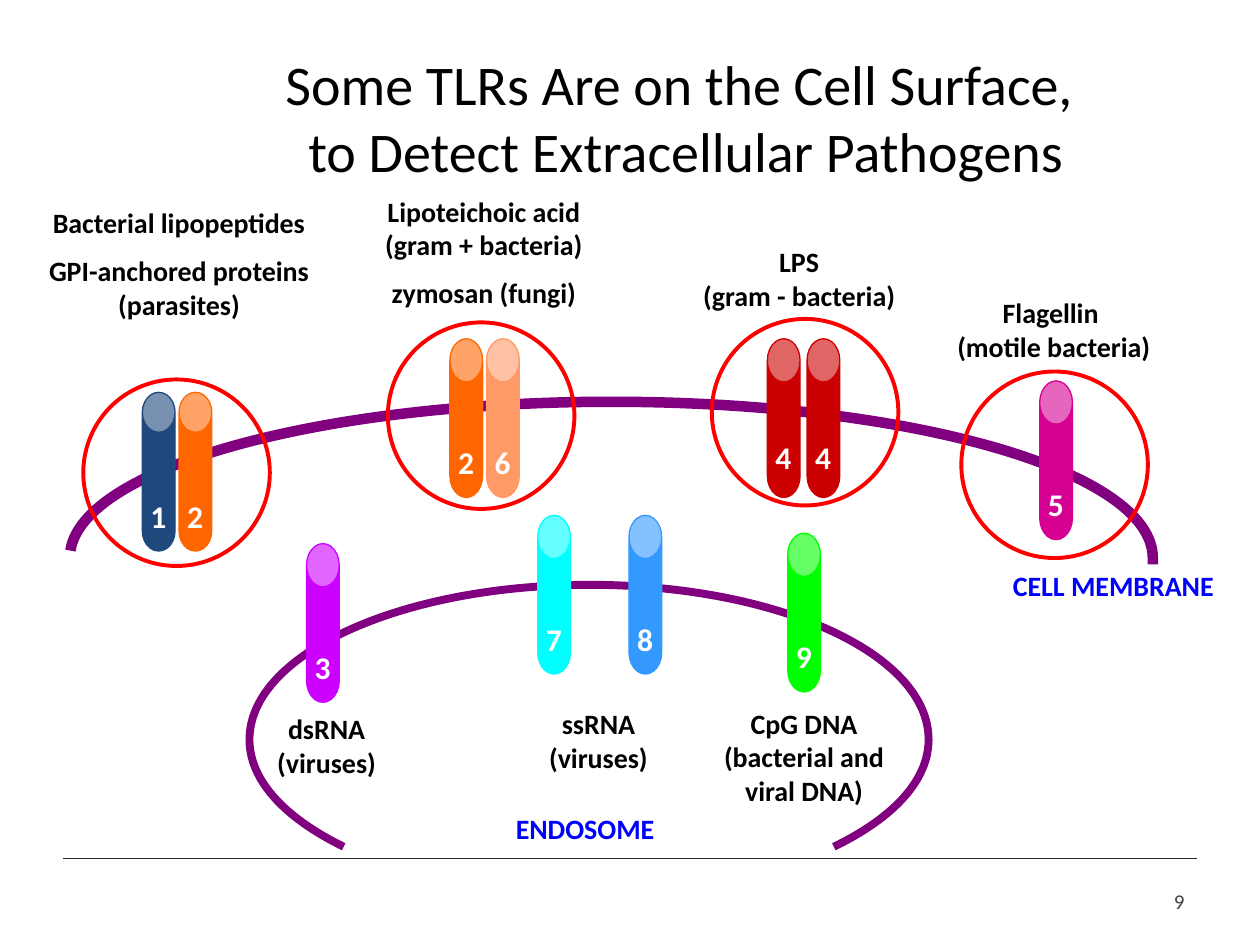
from lxml.etree import SubElement
from pptx import Presentation
from pptx.dml.color import RGBColor
from pptx.enum.shapes import MSO_CONNECTOR as Connector, MSO_SHAPE as Shape
from pptx.enum.text import MSO_ANCHOR as Anchor, PP_ALIGN as Align
from pptx.oxml.ns import qn
from pptx.util import Cm, Pt


def color(hex_text):
    return RGBColor.from_string(hex_text)


def write(left, top, width, height, lines, size=16, ink="000000", bold=True, wrap=True,
          padded=False, align=Align.CENTER, anchor=Anchor.TOP, gap=0, first_spacing=1.0):
    box = page.shapes.add_textbox(Cm(left), Cm(top), Cm(width), Cm(height))
    frame = box.text_frame
    frame.word_wrap = wrap
    frame.vertical_anchor = anchor
    if not padded:
        frame.margin_left = frame.margin_right = frame.margin_top = frame.margin_bottom = 0
    for index, line in enumerate(lines):
        para = frame.add_paragraph() if index else frame.paragraphs[0]
        para.text = line
        para.alignment = align
        if index and gap:
            para.space_before = Pt(gap)
        if not index:
            para.line_spacing = first_spacing
        para.font.name = "Calibri"
        para.font.size = Pt(size)
        para.font.bold = bold
        para.font.color.rgb = color(ink)


deck = Presentation()
deck.slide_width, deck.slide_height = Cm(25.4), Cm(19.05)
page = deck.slides.add_slide(deck.slide_layouts[5])

title = page.shapes.title
title.left, title.top, title.width, title.height = Cm(3.53), Cm(0.77), Cm(20.6), Cm(3.15)
title.text_frame.text = "Some TLRs Are on the Cell Surface, \vto Detect Extracellular Pathogens"
title.text_frame.vertical_anchor = Anchor.MIDDLE
heading = title.text_frame.paragraphs[0]
heading.alignment = Align.CENTER
heading.font.name = "Calibri"
heading.font.size = Pt(32)
heading.font.color.rgb = color("000000")

rule = page.shapes.add_connector(Connector.STRAIGHT, Cm(1.27), Cm(17.3), Cm(24.13), Cm(17.3))
rule.line.color.rgb = color("262626")
rule.line.width = Pt(0.75)
SubElement(rule._element.spPr, qn("a:effectLst"))
write(18.21, 17.65, 5.92, 1.02, ["9"], size=12, ink="404040", bold=False,
      padded=True, align=Align.RIGHT, anchor=Anchor.MIDDLE)

endosome = [
    (16.81, 17.07),
    (18.03, 16.48), (18.72, 15.72), (18.72, 14.91),
    (18.72, 13.18), (15.67, 11.79), (11.88, 11.79),
    (8.1, 11.79), (5.03, 13.18), (5.03, 14.91),
    (5.03, 15.72), (5.72, 16.48), (6.93, 17.07),
]
cell_membrane = [
    (23.24, 11.38),
    (23.24, 11.33), (23.24, 11.28), (23.24, 11.25),
    (23.24, 9.5), (18.36, 8.1), (12.32, 8.1),
    (6.48, 8.1), (1.68, 9.42), (1.42, 11.1),
]
for points, weight in [(endosome, 4.5), (cell_membrane, 6)]:
    corners = [(Cm(x), Cm(y)) for x, y in points]
    builder = page.shapes.build_freeform(*corners[0])
    builder.add_line_segments(corners[1:], close=False)
    curve = builder.convert_to_shape()
    outline = next(curve._element.iter(qn("a:path")))
    segments = outline.findall(qn("a:lnTo"))
    for start in range(0, len(segments), 3):
        bezier = SubElement(outline, qn("a:cubicBezTo"))
        for segment in segments[start:start + 3]:
            bezier.append(segment[0])
            outline.remove(segment)
    curve.shadow.inherit = False
    curve.fill.background()
    curve.line.color.rgb = color("800080")
    curve.line.width = Pt(weight)

for left, top in [(1.68, 7.65), (7.82, 6.5), (14.35, 6.43), (19.38, 7.49)]:
    circle = page.shapes.add_shape(Shape.OVAL, Cm(left), Cm(top), Cm(3.76), Cm(3.76))
    circle.shadow.inherit = False
    circle.fill.background()
    circle.line.color.rgb = color("FF0000")
    circle.line.width = Pt(2.25)

receptors = [
    ("1", 2.87, 7.91, "1F497D", 1.22),
    ("2", 3.61, 7.91, "FF6600", 1.22),
    ("2", 9.07, 6.83, "FF6600", 1.32),
    ("6", 9.81, 6.83, "FF9966", 1.32),
    ("4", 15.47, 6.83, "CC0000", 1.32),
    ("4", 16.27, 6.83, "CC0000", 1.32),
    ("5", 20.96, 7.68, "D60093", 1.32),
    ("3", 6.18, 10.96, "CC00FF", 1.32),
    ("7", 10.84, 10.39, "00FFFF", 1.32),
    ("8", 12.68, 10.39, "3399FF", 1.32),
    ("9", 15.88, 10.75, "00FF00", 1.32),
]
for number, left, top, paint, lid in receptors:
    can = page.shapes.add_shape(Shape.CAN, Cm(left), Cm(top), Cm(0.66), Cm(3.2))
    can.adjustments[0] = lid
    can.shadow.inherit = False
    can.fill.solid()
    can.fill.fore_color.rgb = color(paint)
    can.line.color.rgb = color(paint)
    can.line.width = Pt(0.75)
    drop = 2.01 if number == "4" else 2.1
    write(left + 0.16, top + drop, 0.33, 0.76, [number], size=18, ink="FFFFFF", wrap=False)

ligands = [
    (0.74, 4.19, 5.74, 2.36, ["Bacterial lipopeptides", "GPI-anchored proteins (parasites)"], 8, 0.95),
    (7.14, 3.92, 5.23, 2.39, ["Lipoteichoic acid (gram + bacteria)", "zymosan (fungi)"], 8, 1.0),
    (12.87, 4.93, 6.48, 1.35, ["LPS\v(gram - bacteria)"], 0, 1.0),
    (18.26, 5.96, 5.97, 1.35, ["Flagellin \v(motile bacteria)"], 0, 1.0),
    (5.58, 14.35, 2.01, 1.37, ["dsRNA", "(viruses)"], 0, 1.0),
    (11.06, 14.25, 2.01, 1.37, ["ssRNA", "(viruses)"], 0, 1.0),
    (14.23, 14.24, 3.96, 2.03, ["CpG DNA", "(bacterial and viral DNA)"], 0, 1.0),
]
for left, top, width, height, lines, gap, spacing in ligands:
    write(left, top, width, height, lines, gap=gap, first_spacing=spacing)

for left, top, place in [(9.42, 16.23, "ENDOSOME"), (20.07, 11.33, "CELL MEMBRANE")]:
    write(left, top, 4.75, 0.94, [place], ink="0000FF", padded=True)

deck.save("out.pptx")
